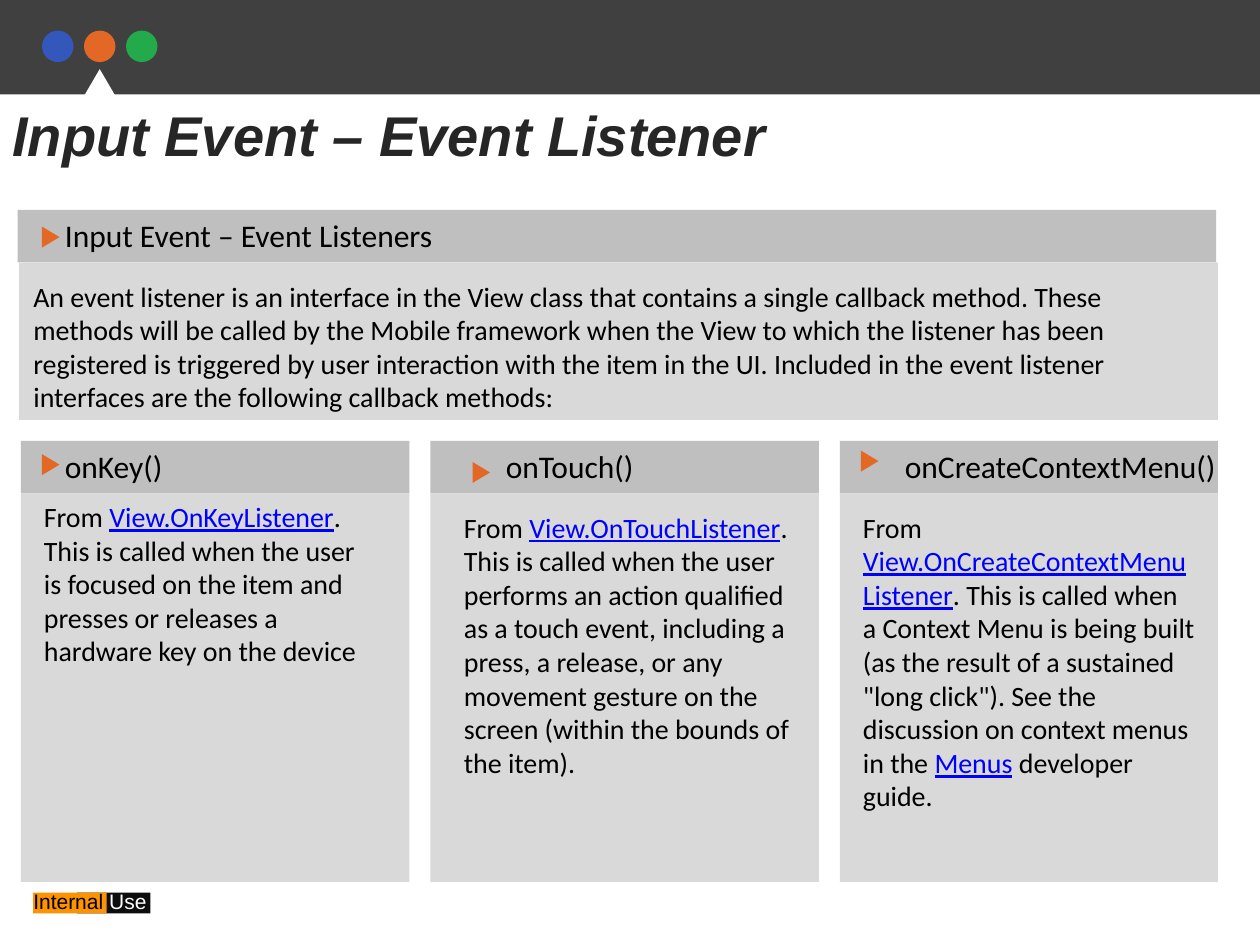
from pptx import Presentation
from pptx import util as u
from pptx.dml.color import RGBColor
from pptx.enum import shapes, text

Pt = u.Pt
WHITE = RGBColor(0xFF, 0xFF, 0xFF)
BLACK = RGBColor(0x00, 0x00, 0x00)
BAR = RGBColor(0x40, 0x40, 0x40)
TITLE = RGBColor(0x26, 0x26, 0x26)
BLUE = RGBColor(0x33, 0x57, 0xBB)
ORANGE = RGBColor(0xE4, 0x68, 0x25)
GREEN = RGBColor(0x23, 0xAA, 0x4A)
AMBER = RGBColor(0xFD, 0x92, 0x03)
INK = RGBColor(0x0D, 0x0D, 0x0D)
HEADER = RGBColor(0xBF, 0xBF, 0xBF)
BODY = RGBColor(0xD9, 0xD9, 0xD9)
LINK = RGBColor(0x00, 0x00, 0xFF)

RECT = shapes.MSO_SHAPE.RECTANGLE
OVAL = shapes.MSO_SHAPE.OVAL
TRIANGLE = shapes.MSO_SHAPE.ISOSCELES_TRIANGLE

INTRO = (
    "An event listener is an interface in the View class that contains a single "
    "callback method. These methods will be called by the Mobile framework when the "
    "View to which the listener has been registered is triggered by user interaction "
    "with the item in the UI. Included in the event listener interfaces are the "
    "following callback methods:"
)
KEY = [
    ("From ", BLACK),
    ("View.OnKeyListener", LINK),
    (". This is called when the user is focused on the item and presses or releases "
     "a hardware key on the device", BLACK),
]
TOUCH = [
    ("From ", BLACK),
    ("View.OnTouchListener", LINK),
    (". This is called when the user performs an action qualified as a touch event, "
     "including a press, a release, or any movement gesture on the screen (within "
     "the bounds of the item).", BLACK),
]
MENU = [
    ("From ", BLACK),
    ("View.OnCreateContextMenuListener", LINK),
    (". This is called when a Context Menu is being built (as the result of a "
     "sustained \"long click\"). See the discussion on context menus in the ", BLACK),
    ("Menus", LINK),
    (" developer guide.", BLACK),
]


def add_block(page, kind, left, top, width, height, color):
    block = page.shapes.add_shape(kind, Pt(left), Pt(top), Pt(width), Pt(height))
    block.shadow.inherit = False
    block.fill.solid()
    block.fill.fore_color.rgb = color
    block.line.fill.background()
    return block


def add_text(page, left, top, width, height, spans, size, font="Calibri"):
    box = page.shapes.add_textbox(Pt(left), Pt(top), Pt(width), Pt(height))
    frame = box.text_frame
    frame.word_wrap = True
    frame.auto_size = text.MSO_AUTO_SIZE.SHAPE_TO_FIT_TEXT
    para = frame.paragraphs[0]
    para.font.size = Pt(size)
    para.font.name = font
    for words, color in spans:
        span = para.add_run()
        span.text = words
        span.font.color.rgb = color
        if color == LINK:
            span.font.underline = True
    return para


def add_marker(page, left, top):
    add_block(page, TRIANGLE, left, top, 12, 10, ORANGE).rotation = 90


def add_top_bar(page):
    add_block(page, RECT, 0, 0, 720, 54, BAR)
    for index, color in enumerate((BLUE, ORANGE, GREEN)):
        add_block(page, OVAL, 24 + 24 * index, 17.5, 18, 18, color)
    add_block(page, TRIANGLE, 36, 39.5, 42, 36, WHITE)


def add_usage_label(page):
    add_block(page, RECT, 44, 510, 42, 12, INK)
    add_block(page, RECT, 19, 510, 42, 12, AMBER)
    add_text(page, 12, 504, 108, 21.6,
             [("Internal ", BLACK), ("Use", WHITE)], 12, "Arial")


def add_title(page):
    para = add_text(page, 0, 54, 720, 46,
                    [("Input Event – Event Listener", TITLE)], 32, "Arial")
    para.font.bold = True
    para.font.italic = True


def add_intro(page):
    add_block(page, RECT, 10, 120, 685, 30, HEADER)
    add_block(page, RECT, 11, 150, 685, 90, BODY)
    add_text(page, 30, 120, 384, 29, [("Input Event – Event Listeners", BLACK)], 18)
    add_text(page, 12, 156, 672, 85, [(INTRO, BLACK)], 16)
    add_marker(page, 23, 130.5)


def add_card(page, left, width, heading, heading_left, marker, body, body_left, body_top):
    add_block(page, RECT, left, 252, width, 30, HEADER)
    add_block(page, RECT, left, 282, width, 222, BODY)
    add_text(page, heading_left, 252, 210, 30, [(heading, BLACK)], 18)
    add_text(page, body_left, body_top, 204, 163, body, 16)
    add_marker(page, *marker)


def main():
    deck = Presentation()
    deck.slide_width, deck.slide_height = Pt(720), Pt(540)
    page = deck.slides.add_slide(deck.slide_layouts[6])
    add_top_bar(page)
    add_usage_label(page)
    add_title(page)
    add_intro(page)
    add_card(page, 12, 222, "onKey()", 30, (23, 260.5), KEY, 18, 282)
    add_card(page, 246, 222, "onTouch()", 282, (269, 265), TOUCH, 258, 288)
    add_card(page, 480, 216, "onCreateContextMenu()", 510, (491, 258.5), MENU, 486, 288)
    deck.save("out.pptx")


if __name__ == "__main__":
    main()
